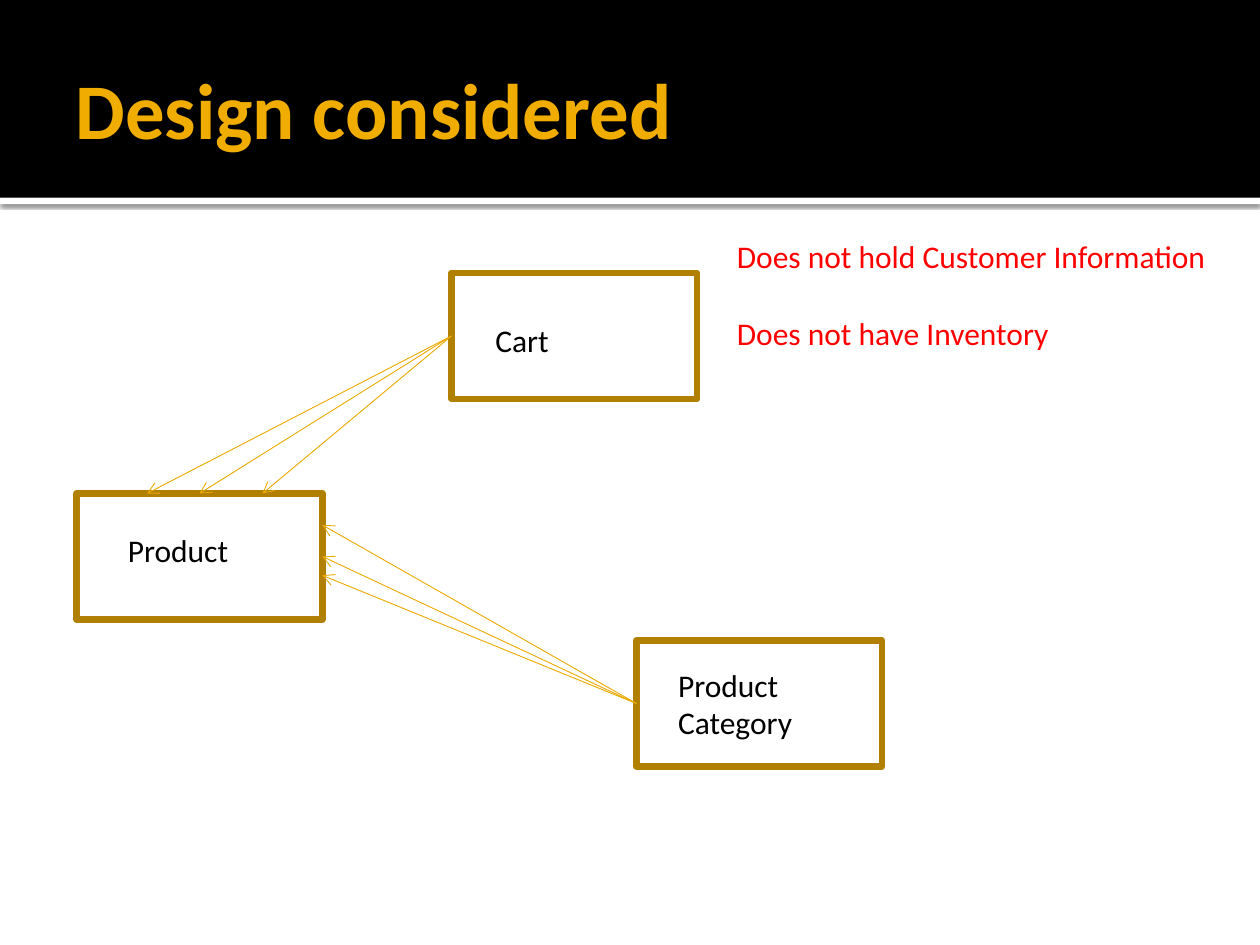
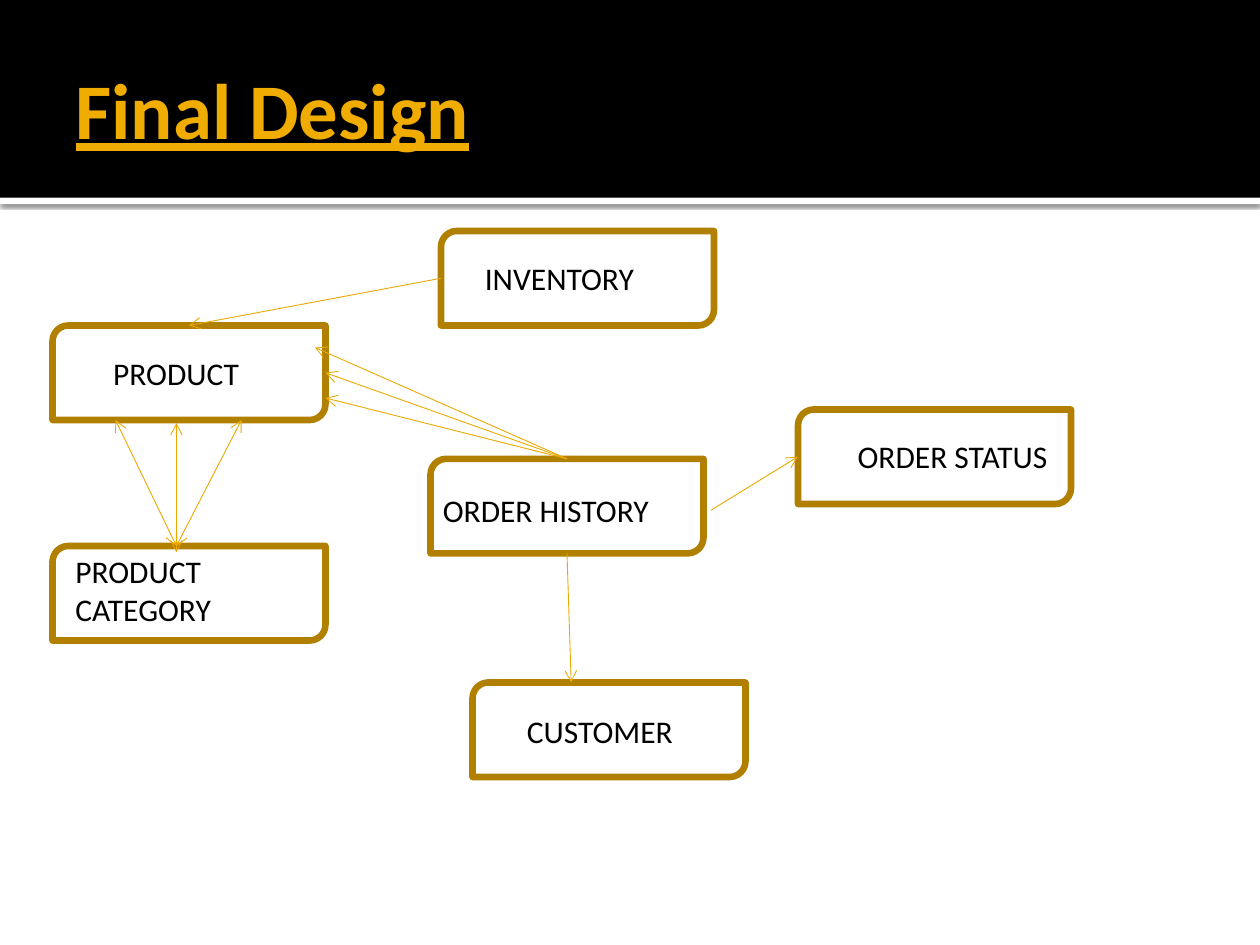
"""Build two slides that compare the considered and the final shop data design."""
import pptx
import pptx.dml.color
import pptx.enum.shapes
import pptx.enum.text
import pptx.oxml
import pptx.oxml.ns
import pptx.util

BLACK = pptx.dml.color.RGBColor(0x00, 0x00, 0x00)
WHITE = pptx.dml.color.RGBColor(0xFF, 0xFF, 0xFF)
RED = pptx.dml.color.RGBColor(0xFF, 0x00, 0x00)
GOLD = pptx.dml.color.RGBColor(0xF0, 0xAD, 0x00)
ARROW_GOLD = pptx.dml.color.RGBColor(0xEB, 0xA9, 0x00)
BORDER_GOLD = pptx.dml.color.RGBColor(0xB2, 0x80, 0x00)
FONT = "Calibri"
BODY_SIZE = 18
RECTANGLE = pptx.enum.shapes.MSO_SHAPE.RECTANGLE
ROUNDED = pptx.enum.shapes.MSO_SHAPE.ROUND_2_DIAG_RECTANGLE

presentation = pptx.Presentation()
presentation.slide_width = pptx.util.Inches(10)
presentation.slide_height = pptx.util.Inches(7.5)
CELL = presentation.slide_width / 120
TITLE_ONLY = presentation.slide_layouts[5]


def grid(*cells):
    return [round(cell * CELL) for cell in cells]


def append_xml(parent, tag, attributes="", content=""):
    namespace = pptx.oxml.ns.nsdecls("a")
    parent.append(pptx.oxml.parse_xml(f"<a:{tag} {namespace} {attributes}>{content}</a:{tag}>"))


designs = [
    {
        "title": "Design considered",
        "underline": None,
        "box": (RECTANGLE, 23.4, 12, WHITE),
        "corners": [(43, 26), (7.3, 47), (60.6, 61)],
        "texts": [
            (["Cart"], 46, 30, 17, 4.8, BLACK),
            (["Product"], 11, 50, 15, 4.8, BLACK),
            (["Product Category"], 63.4, 62.8, 18, 8.5, BLACK),
            (["Does not hold Customer Information", "Does not have Inventory"], 69, 22, 48, 12.1, RED),
        ],
        "arrows": [
            ((43, 32), [(19, 47), (14, 47), (25, 47)], ["tailEnd"]),
            ((60.6, 67), [(30.7, 53), (30.7, 54.8), (30.7, 50)], ["tailEnd"]),
        ],
    },
    {
        "title": "Final Design",
        "underline": True,
        "box": (ROUNDED, 26, 9, None),
        "corners": [(5, 31), (5, 52), (42, 22), (45, 65), (76, 39), (41, 43.7)],
        "texts": [
            (["PRODUCT"], 9.6, 33.1, 15, 4.8, BLACK),
            (["PRODUCT CATEGORY"], 6, 52, 23, 8.5, BLACK),
            (["INVENTORY"], 45, 24.1, 17, 4.8, BLACK),
            (["CUSTOMER"], 49, 67.2, 17, 4.8, BLACK),
            (["ORDER HISTORY"], 41, 46.2, 26.8, 4.8, BLACK),
            (["ORDER STATUS"], 80.5, 41, 21, 4.8, BLACK),
        ],
        "arrows": [
            ((42, 26.5), [(18, 31)], ["tailEnd"]),
            ((67.7, 48.6), [(76, 43.5)], ["tailEnd"]),
            ((54, 52.7), [(54.4, 65)], ["tailEnd"]),
            ((54, 43.7), [(31, 35.5), (31, 37.9), (30, 33.1)], ["tailEnd"]),
            ((16.8, 52.6), [(16.8, 40.3)], ["headEnd", "tailEnd"]),
            ((16.8, 52), [(23, 40), (11, 40)], ["headEnd", "tailEnd"]),
        ],
    },
]

for design in designs:
    slide = presentation.slides.add_slide(TITLE_ONLY)
    slide.background.fill.solid()
    slide.background.fill.fore_color.rgb = WHITE

    for top, height, color in [(0, 18.84, BLACK), (18.84, 0.6, WHITE)]:
        band = slide.shapes.add_shape(RECTANGLE, *grid(0, top, 120, height))
        band.shadow.inherit = False
        band.fill.solid()
        band.fill.fore_color.rgb = color
        band.line.fill.background()
        slide.shapes.element.insert(2, band.element)
    append_xml(
        band.element.spPr.find(pptx.oxml.ns.qn("a:effectLst")),
        "outerShdw",
        'blurRad="31750" dist="10160" dir="5400000" algn="tl" rotWithShape="0"',
        '<a:srgbClr val="000000"><a:alpha val="60000"/></a:srgbClr>',
    )

    title = slide.shapes.title
    title.left, title.top, title.width, title.height = grid(6, 2, 108, 16.5)
    frame = title.text_frame
    frame.word_wrap = True
    frame.auto_size = pptx.enum.text.MSO_AUTO_SIZE.NONE
    frame.vertical_anchor = pptx.enum.text.MSO_ANCHOR.MIDDLE
    frame.margin_left = pptx.util.Inches(0.1)
    frame.margin_top = frame.margin_right = frame.margin_bottom = pptx.util.Inches(0.05)
    paragraph = frame.paragraphs[0]
    paragraph.alignment = pptx.enum.text.PP_ALIGN.LEFT
    run = paragraph.add_run()
    run.text = design["title"]
    run.font.name = FONT
    run.font.size = pptx.util.Pt(45)
    run.font.bold = True
    run.font.underline = design["underline"]
    run.font.color.rgb = GOLD

    outline, width, height, fill_color = design["box"]
    for left, top in design["corners"]:
        box = slide.shapes.add_shape(outline, *grid(left, top, width, height))
        box.shadow.inherit = False
        if fill_color is None:
            box.fill.background()
        else:
            box.fill.solid()
            box.fill.fore_color.rgb = fill_color
        box.line.color.rgb = BORDER_GOLD
        box.line.width = pptx.util.Pt(3.78)
        append_xml(box.element.spPr.get_or_add_ln(), "round")

    for lines, left, top, width, height, color in design["texts"]:
        frame = slide.shapes.add_textbox(*grid(left, top, width, height)).text_frame
        frame.word_wrap = True
        frame.auto_size = pptx.enum.text.MSO_AUTO_SIZE.SHAPE_TO_FIT_TEXT
        for index, line in enumerate(lines):
            paragraph = frame.add_paragraph() if index else frame.paragraphs[0]
            paragraph.space_before = pptx.util.Pt(22 if index else 0)
            run = paragraph.add_run()
            run.text = line
            run.font.name = FONT
            run.font.size = pptx.util.Pt(BODY_SIZE)
            run.font.color.rgb = color

    for start, ends, heads in design["arrows"]:
        for end in ends:
            arrow = slide.shapes.add_connector(
                pptx.enum.shapes.MSO_CONNECTOR.STRAIGHT, *grid(*start, *end)
            )
            arrow.line.color.rgb = ARROW_GOLD
            arrow.line.width = pptx.util.Pt(0.5)
            for head in heads:
                append_xml(arrow.element.spPr.get_or_add_ln(), head, 'type="arrow"')
            append_xml(arrow.element.spPr, "effectLst")

presentation.save("out.pptx")
